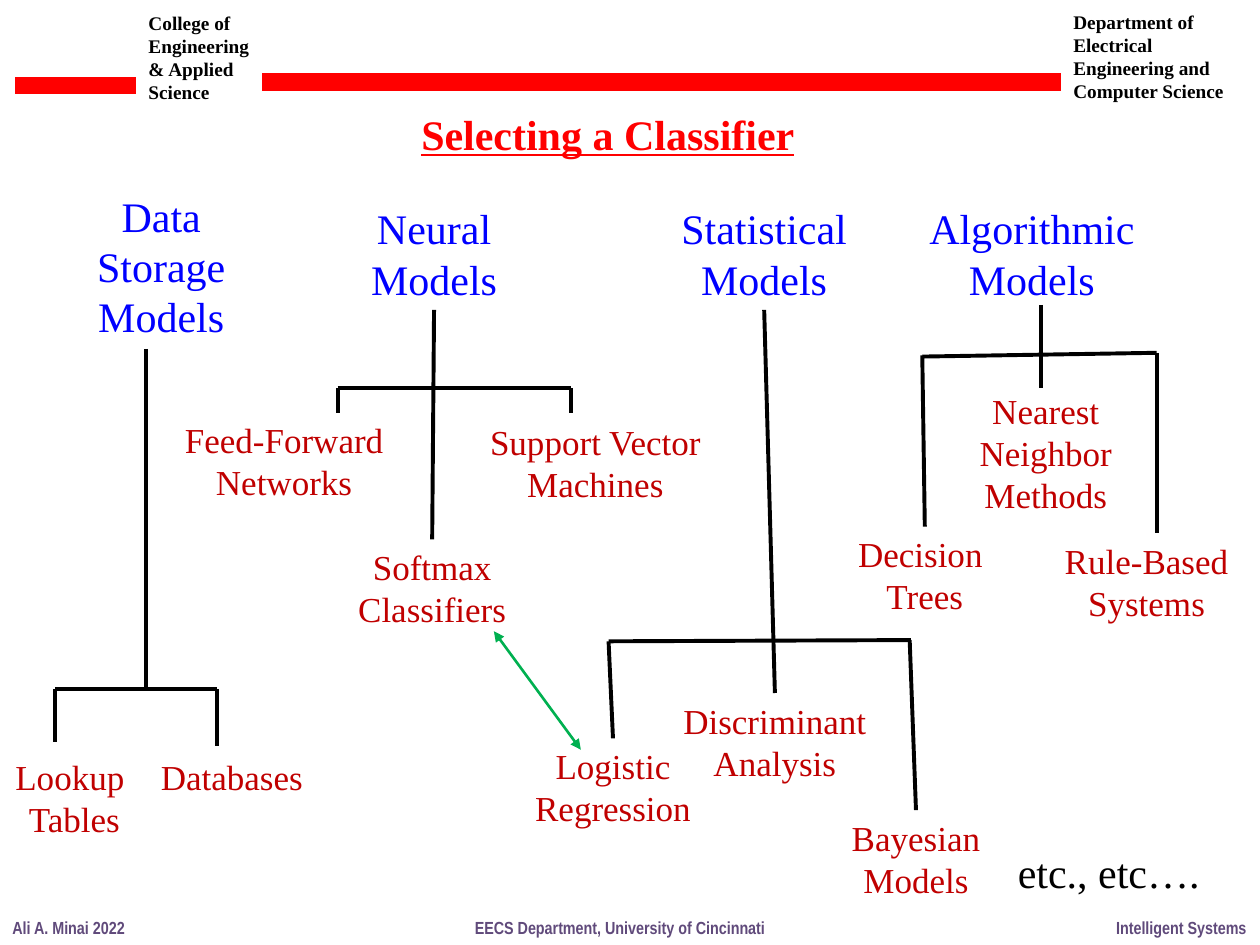
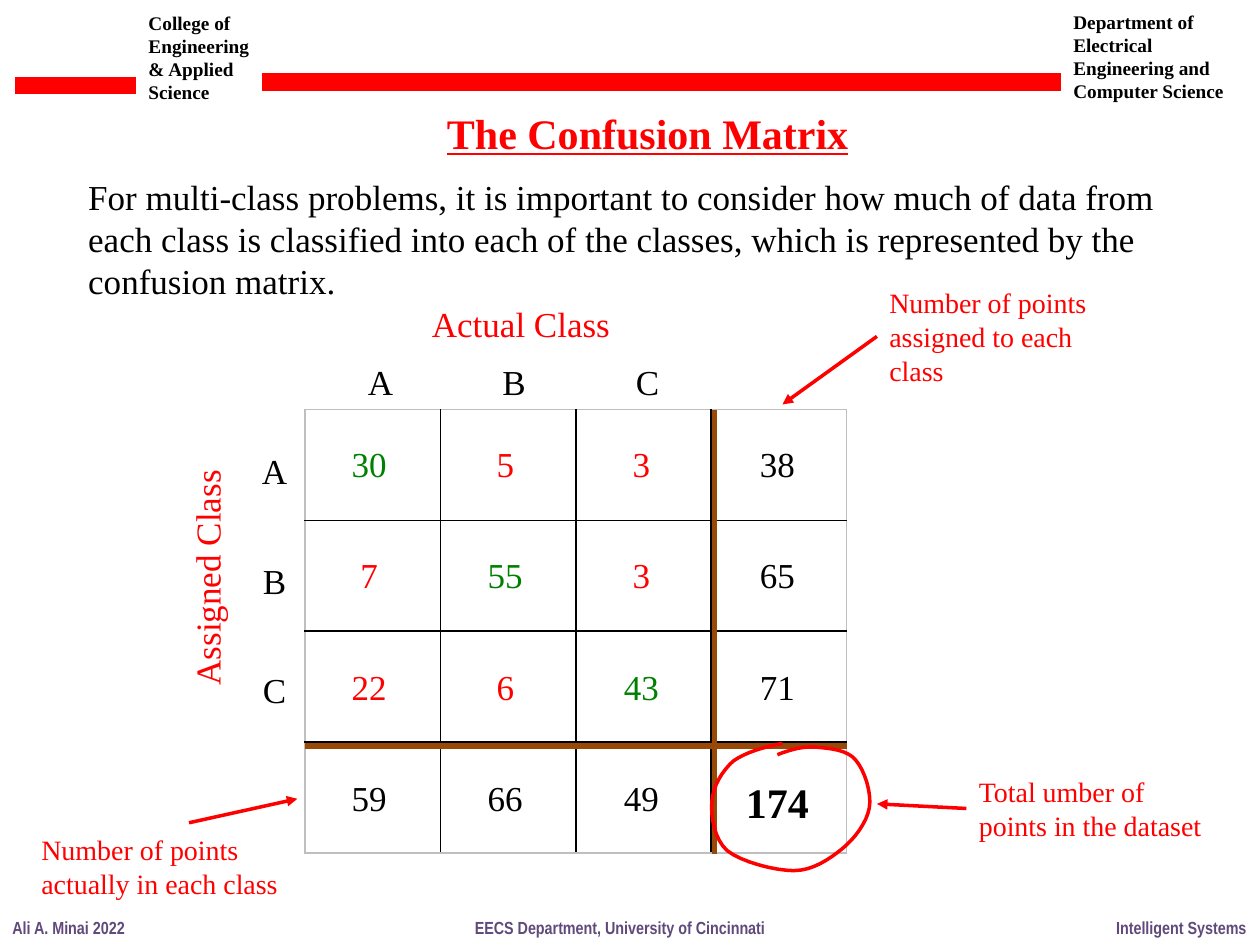
from pptx import Presentation
from pptx.dml.color import RGBColor as Rgb
from pptx.enum.shapes import MSO_CONNECTOR as Conn
from pptx.enum.text import MSO_ANCHOR as Anchor, MSO_AUTO_SIZE as Auto, PP_ALIGN as Align
from pptx.oxml import parse_xml
from pptx.oxml.ns import nsdecls
from pptx.util import Emu, Inches, Pt

# Slide size and a grid of 100 columns by 75 rows
WIDE, HIGH = Inches(10), Inches(7.5)
COLS, ROWS = 100, 75

# Shared colours and fonts
RED, BLACK, BLUE, CRIMSON = "FF0000", "000000", "0000FF", "C00000"
GREEN, LEAF, BROWN, PLUM, GREY = "008000", "00B050", "984807", "604A7B", "BFBFBF"
SERIF, NARROW = "Times New Roman", "Arial Narrow"
TITLE = {"name": SERIF, "size": Pt(24), "bold": True, "underline": True}
HEAD = {"name": SERIF, "size": Pt(11), "bold": True}
FOOT = {"name": NARROW, "size": Pt(10), "bold": True}
GROUP = {"name": SERIF, "size": Pt(24)}
ITEM = {"name": SERIF, "size": Pt(20)}
NOTE = {"name": SERIF, "size": Pt(16)}
TOTAL = {"name": SERIF, "size": Pt(24), "bold": True}


def col(n):
    return Emu(round(WIDE * n / COLS))


def row(n):
    return Emu(round(HIGH * n / ROWS))


def ink(code):
    return Rgb.from_string(code)


def put(thing, values):
    for key, value in values.items():
        setattr(thing, key, value)


# Text
def write(shape, text, style, color, align=Align.LEFT, wrap=False):
    frame = shape.text_frame
    frame.text = text
    put(frame, {"word_wrap": wrap, "auto_size": Auto.SHAPE_TO_FIT_TEXT,
                "vertical_anchor": Anchor.TOP})
    for para in frame.paragraphs:
        put(para, {"alignment": align, "space_before": Pt(0)})
        for run in para.runs:
            put(run.font, style)
            run.font.color.rgb = ink(color)
    return shape


def tall(style, lines):
    """Box height for a number of lines, with the usual margins."""
    return Inches(0.1) + round(style["size"] * 1.2 * lines)


def label(slide, text, spot, style, color, align=Align.CENTER, lines=0):
    """A text box at (column, row, width); it wraps when lines is given."""
    left, top, width = spot
    high = tall(style, lines or text.count("\n") + 1)
    box = slide.shapes.add_textbox(col(left), row(top), col(width), high)
    return write(box, text, style, color, align, bool(lines))


def place(shape, spot, high):
    left, top, width = spot
    put(shape, {"left": col(left), "top": row(top),
                "width": col(width), "height": high})


def head(slide, text, spot):
    place(slide.shapes.title, spot, tall(TITLE, 1))
    write(slide.shapes.title, text, TITLE, RED, Align.CENTER)


def body(slide, text, spot, lines):
    shape = slide.placeholders[1]
    place(shape, spot, tall(ITEM, lines))
    write(shape, text, ITEM, BLACK, wrap=True)
    for para in shape.text_frame.paragraphs:
        props = para._p.get_or_add_pPr()
        props.set("marL", "0")
        props.set("indent", "0")
        props.append(parse_xml(f"<a:buNone {nsdecls('a')}/>"))


# Lines
def line(slide, start, end, color=BLACK, width=2.25, heads=(), join=()):
    """A straight line; join holds (0 for start or 1 for end, shape, side)."""
    (x1, y1), (x2, y2) = start, end
    link = slide.shapes.add_connector(Conn.STRAIGHT, col(x1), row(y1), col(x2), row(y2))
    link.line.color.rgb = ink(color)
    link.line.width = Pt(width)
    for tag in heads:
        link.line._get_or_add_ln().append(
            parse_xml(f'<a:{tag} {nsdecls("a")} type="triangle"/>'))
    link.element.spPr.append(parse_xml(f"<a:effectLst {nsdecls('a')}/>"))
    for tip, shape, side in join:
        (link.end_connect if tip else link.begin_connect)(shape, side)
    return link


def arrow(slide, start, end, join=()):
    line(slide, start, end, RED, 2, ["tailEnd"], join)


def loop(slide, start, curves, steps=8):
    """An open outline through cubic curves."""
    dots, pen = [], start
    for a, b, end in curves:
        for k in range(1, steps + 1):
            t = k / steps
            u = 1 - t
            mix = (u ** 3, 3 * u * u * t, 3 * u * t * t, t ** 3)
            dots.append(tuple(sum(m * p[i] for m, p in zip(mix, (pen, a, b, end)))
                              for i in (0, 1)))
        pen = end
    maker = slide.shapes.build_freeform(col(start[0]), row(start[1]))
    maker.add_line_segments([(col(x), row(y)) for x, y in dots], close=False)
    ring = maker.convert_to_shape()
    ring.shadow.inherit = False
    ring.fill.background()
    ring.line.color.rgb = ink(RED)
    ring.line.width = Pt(2)


# Table
def edge(cell, side, color):
    cell._tc.get_or_add_tcPr().append(parse_xml(
        f'<a:{side} {nsdecls("a")} w="12700"><a:solidFill>'
        f'<a:srgbClr val="{color}"/></a:solidFill></a:{side}>'))


def grid(slide, left, top, wide, high, size):
    shape = slide.shapes.add_table(size, size, col(left), row(top), col(wide), row(high))
    table = shape.table
    put(table, {"first_row": False, "horz_banding": False})
    last = size - 1
    for r in range(size):
        for c in range(size):
            cell = table.cell(r, c)
            outer = {"lnL": c == 0, "lnR": c == last, "lnT": r == 0, "lnB": r == last}
            for side, rim in outer.items():
                edge(cell, side, GREY if rim else BLACK)
            cell.fill.background()


# Header and footer, kept on the master
def brand(deck, slide):
    label(slide, "College of Engineering & Applied\nScience", (10.8, 0.4, 10.9),
          HEAD, BLACK, Align.LEFT, 4)
    label(slide, "Department of Electrical Engineering and Computer Science",
          (84.2, 0.3, 14.7), HEAD, BLACK, Align.LEFT, 4)
    for x1, x2, y in ((1.2, 10.8, 6.8), (20.8, 84.2, 6.5)):
        line(slide, (x1, y), (x2, y), RED, 10)
    for text, left, width in (("Ali A. Minai 2022", 0, 11),
                              ("EECS Department, University of Cincinnati", 36.7, 25.2),
                              ("Intelligent Systems", 87.6, 12.4)):
        label(slide, text, (left, 72.3, width), FOOT, PLUM, Align.LEFT)
    parts = [s for s in slide.shapes if not s.is_placeholder]
    for n, part in enumerate(parts, 101):
        part.element.xpath(".//p:cNvPr")[0].set("id", str(n))
        deck.slide_master.shapes.element.append(part.element)


# Slide 1: tree of classifiers
def tree(slide):
    head(slide, "Selecting a Classifier", (32.3, 8.1, 31.9))
    groups = (("Data\nStorage\nModels", (6.6, 14.6, 12.4)),
              ("Neural\nModels", (28.4, 15.6, 12.1)),
              ("Statistical\nModels", (53, 15.6, 15.3)),
              ("Algorithmic\nModels", (72.7, 15.6, 18.4)))
    items = (("Lookup \nTables", (0.2, 59.5, 11.4)),
             ("Databases", (11.5, 59.5, 13.8)),
             ("Feed-Forward\nNetworks", (13.6, 32.7, 17.9)),
             ("Softmax\nClassifiers", (27.4, 42.8, 13.8)),
             ("Support Vector\nMachines", (37.8, 32.9, 18.9)),
             ("Logistic\nRegression", (41.4, 58.6, 14.5)),
             ("Discriminant\nAnalysis", (53.2, 55, 16.6)),
             ("Bayesian\nModels", (66.6, 64.3, 12.2)),
             ("Decision \nTrees", (67.1, 41.8, 12.6)),
             ("Nearest\nNeighbor\nMethods", (76.7, 30.4, 12.6)),
             ("Rule-Based\nSystems", (83.5, 42.3, 15)))
    node = {}
    for rows, style, color in ((groups, GROUP, BLUE), (items, ITEM, CRIMSON)):
        for text, spot in rows:
            node[text.split()[0]] = label(slide, text, spot, style, color)
    label(slide, "etc., etc….", (79.8, 66.7, 16.4), GROUP, BLACK, Align.LEFT)

    # Branches: start, end, joined boxes
    for start, end, join in (
            ((11.6, 27.7), (11.6, 54.7), ()),
            ((4.4, 54.7), (17.2, 54.7), ()),
            ((4.4, 54.7), (4.4, 58.9), ()),
            ((17.2, 54.7), (17.2, 59.2), ()),
            ((34.5, 24), (34.5, 43.5), [(0, node["Neural"], 2), (1, node["Softmax"], 0)]),
            ((26.8, 30.8), (45.3, 30.8), ()),
            ((26.8, 30.8), (26.8, 32.8), ()),
            ((45.3, 30.8), (45.3, 32.8), ()),
            ((60.6, 24.5), (61, 54.7),
             [(0, node["Statistical"], 2), (1, node["Discriminant"], 0)]),
            ((48.3, 50.9), (72.3, 50.8), ()),
            ((48.3, 50.9), (48.3, 59), [(1, node["Logistic"], 0)]),
            ((72.2, 50.8), (72.3, 64.3), [(1, node["Bayesian"], 0)]),
            ((82.6, 24.2), (82.6, 30.8), ()),
            ((73.2, 28.3), (91.8, 28), ()),
            ((73.2, 28.2), (73.2, 42.3), [(1, node["Decision"], 0)]),
            ((91.8, 28), (91.8, 42.3), ())):
        line(slide, start, end, join=join)
    line(slide, (39.2, 50.1), (46.1, 59.5), LEAF, 1.5, ["headEnd", "tailEnd"])


# Slide 2: confusion matrix
def matrix(slide):
    head(slide, "The Confusion Matrix", (34.3, 8, 34.2))
    body(slide, "For multi-class problems, it is important to consider how much of data "
         "from each class is classified into each of the classes, which is represented "
         "by the confusion matrix.", (6, 13.4, 87.9), 3)
    grid(slide, 24.2, 32.5, 43, 35.2, 4)

    # Axis names and class letters
    label(slide, "Actual Class", (33.2, 23.5, 16.3), ITEM, RED)
    label(slide, "Assigned Class", (6.8, 43.7, 19.2), ITEM, RED).rotation = 270
    for n, name in enumerate("ABC"):
        label(slide, name, (28.2 + 10.6 * n, 28.1, 4), ITEM, BLACK)
        label(slide, name, (19.8, 35.2 + 8.7 * n, 4), ITEM, BLACK)

    # Rules before the totals
    line(slide, (56.7, 32.5), (56.7, 67.8), BROWN, 3)
    line(slide, (24.2, 59.2), (67.2, 59.2), BROWN, 3)

    # Counts: right ones on the diagonal, totals in the last row and column
    counts = ((30, 5, 3, 38), (7, 55, 3, 65), (22, 6, 43, 71), (59, 66, 49, 174))
    for r, values in enumerate(counts):
        for c, value in enumerate(values):
            color = BLACK if 3 in (r, c) else GREEN if r == c else RED
            style, wide = (TOTAL, 7.1) if r == c == 3 else (ITEM, 4.8)
            mid = 29.3 + 10.8 * c
            label(slide, str(value), (mid - wide / 2, 34.6 + 8.85 * r, wide), style, color)

    # Notes and arrows
    notes = [label(slide, text, (left, top, 20.9), NOTE, RED, Align.LEFT, lines)
             for text, left, top, lines in (
                 ("Number of points assigned to each class", 69.6, 22.2, 3),
                 ("Number of points actually in each class", 2.3, 65.6, 2),
                 ("Total umber of points in the dataset", 76.7, 61, 2))]
    arrow(slide, (69.6, 26.8), (62.1, 32.1), [(0, notes[0], 1)])
    arrow(slide, (15, 65.3), (23.6, 63.4))
    arrow(slide, (76.7, 64), (69.6, 63.8), [(0, notes[2], 1)])

    # Ring round the grand total
    loop(slide, (62.1, 59), (
        ((60.6, 59.3), (59.2, 59.7), (58.2, 60.4)),
        ((57.3, 61.2), (56.6, 62.4), (56.5, 63.6)),
        ((56.4, 64.8), (56.7, 66.6), (57.7, 67.5)),
        ((58.8, 68.4), (61.5, 69.1), (63, 69.1)),
        ((64.5, 69.1), (65.8, 68.2), (66.8, 67.4)),
        ((67.8, 66.6), (68.8, 65.3), (69, 64.1)),
        ((69.2, 62.9), (68.6, 61.1), (67.9, 60.3)),
        ((67.2, 59.5), (65.9, 59.4), (64.8, 59.3)),
        ((63.8, 59.2), (62.7, 59.5), (61.7, 59.9))))


def main():
    deck = Presentation()
    put(deck, {"slide_width": WIDE, "slide_height": HIGH})
    first = deck.slides.add_slide(deck.slide_layouts[5])
    brand(deck, first)
    tree(first)
    matrix(deck.slides.add_slide(deck.slide_layouts[1]))
    deck.save("out.pptx")


if __name__ == "__main__":
    main()
